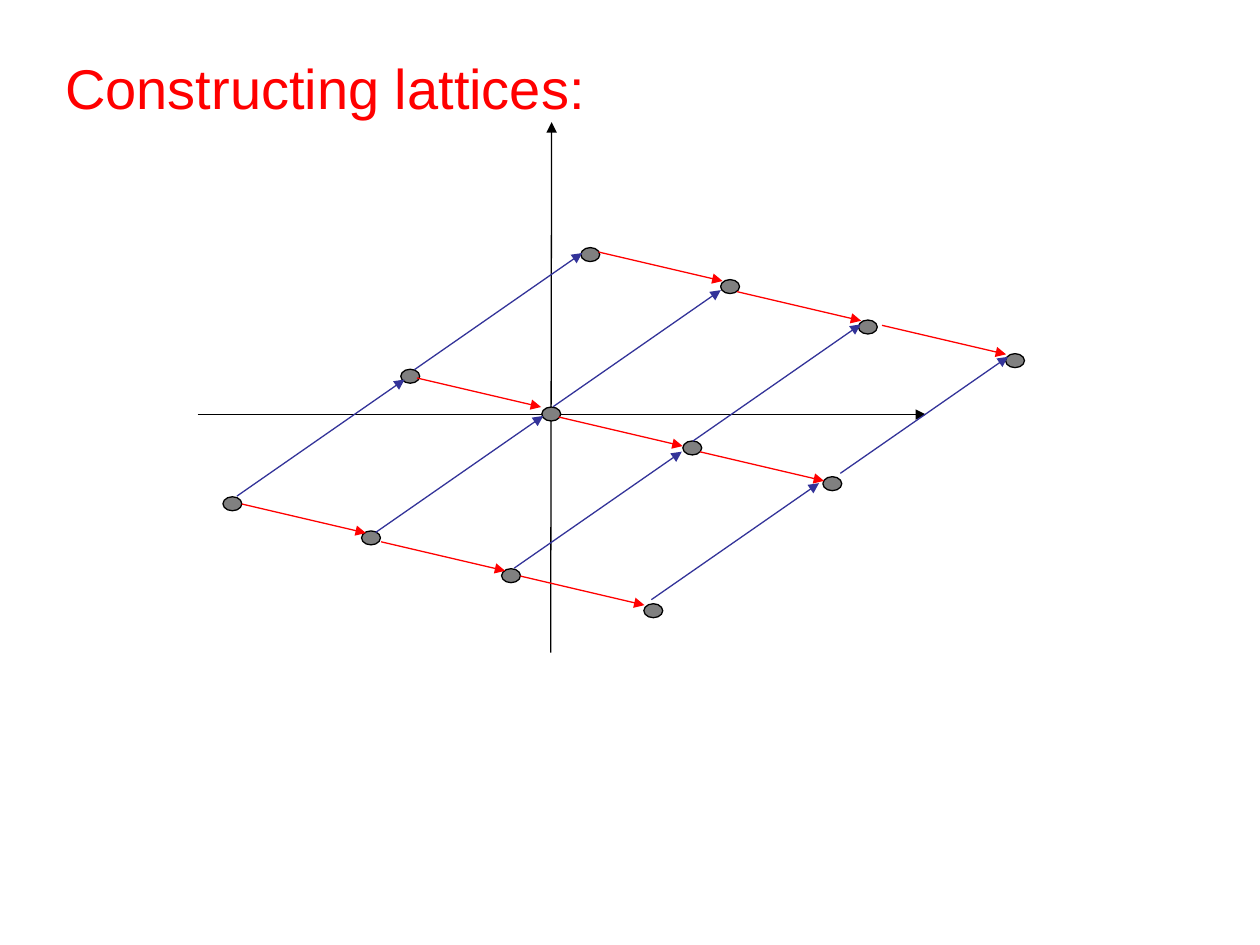
import pptx
import pptx.util
import pptx.dml.color
import pptx.enum.shapes
import pptx.oxml
import pptx.oxml.ns

Pt = pptx.util.Pt

# Content, all lengths in points
TITLE = "Constructing lattices:"
TITLE_BOX = (30.2, 23.8, 516.2, 46.1)
AXES = [((314.7, 373), (315.2, 69.8)), ((113, 236.9), (529.2, 236.9))]

# Lattice points, left and top, row by row
DOT_SIZE = (10.8, 8)
DOTS = [
    (331.9, 141.5), (411.8, 159.8), (490.5, 182.9), (574.6, 202.1),
    (229, 211), (309.6, 232.6), (390.2, 252), (470.2, 272.4),
    (127.4, 283.9), (206.6, 303.4), (286.6, 325), (367.9, 345),
]

# Each lattice vector is one step, repeated from many tails
VECTORS = [
    {"color": "FF0000", "step": (70.9, 16.6), "tails": [
        (342, 144), (421.2, 166.7), (504, 185.9),
        (238.3, 216), (319.2, 238.3), (400, 258.2),
        (138.2, 288), (217.8, 309.6), (297.4, 329.2)]},
    {"color": "333399", "step": (95.8, -66.6), "tails": [
        (236.9, 211.2), (316.1, 232.4), (396, 252), (480.2, 270.5),
        (135.4, 283.5), (214.6, 304.3), (293.8, 324.7), (372.2, 342.7)]},
]
LINE_WIDTH = 0.74


def rgb(color):
    return pptx.dml.color.RGBColor.from_string(color)


def add_arrow(slide, start, end, color):
    arrow = slide.shapes.add_connector(
        pptx.enum.shapes.MSO_CONNECTOR.STRAIGHT, *map(Pt, start + end))
    arrow.line.width = Pt(LINE_WIDTH)
    arrow.line.color.rgb = rgb(color)
    head = pptx.oxml.parse_xml(
        '<a:tailEnd %s type="triangle"/>' % pptx.oxml.ns.nsdecls("a"))
    arrow.line._get_or_add_ln().append(head)
    arrow._element.spPr.append(pptx.oxml.parse_xml(
        "<a:effectLst %s/>" % pptx.oxml.ns.nsdecls("a")))


def add_dot(slide, position):
    dot = slide.shapes.add_shape(
        pptx.enum.shapes.MSO_SHAPE.OVAL, *map(Pt, position + DOT_SIZE))
    dot.shadow.inherit = False
    dot.fill.solid()
    dot.fill.fore_color.rgb = rgb("808080")
    dot.line.color.rgb = rgb("000000")
    dot.line.width = Pt(LINE_WIDTH)


def add_title(slide):
    frame = slide.shapes.add_textbox(*map(Pt, TITLE_BOX)).text_frame
    frame_format = {"word_wrap": True, "margin_top": Pt(7), "margin_bottom": Pt(2)}
    for name, value in frame_format.items():
        setattr(frame, name, value)
    run = frame.paragraphs[0].add_run()
    run.text = TITLE
    for name, value in {"name": "Arial", "size": Pt(32)}.items():
        setattr(run.font, name, value)
    run.font.color.rgb = rgb("FF0000")


presentation = pptx.Presentation()
presentation.slide_width, presentation.slide_height = Pt(720), Pt(540)
slide = presentation.slides.add_slide(presentation.slide_layouts[6])

# Axes, lattice points, vectors, title
for start, end in AXES:
    add_arrow(slide, start, end, "000000")
for position in DOTS:
    add_dot(slide, position)
for vector in VECTORS:
    step_x, step_y = vector["step"]
    for x, y in vector["tails"]:
        add_arrow(slide, (x, y), (x + step_x, y + step_y), vector["color"])
add_title(slide)

presentation.save("out.pptx")
